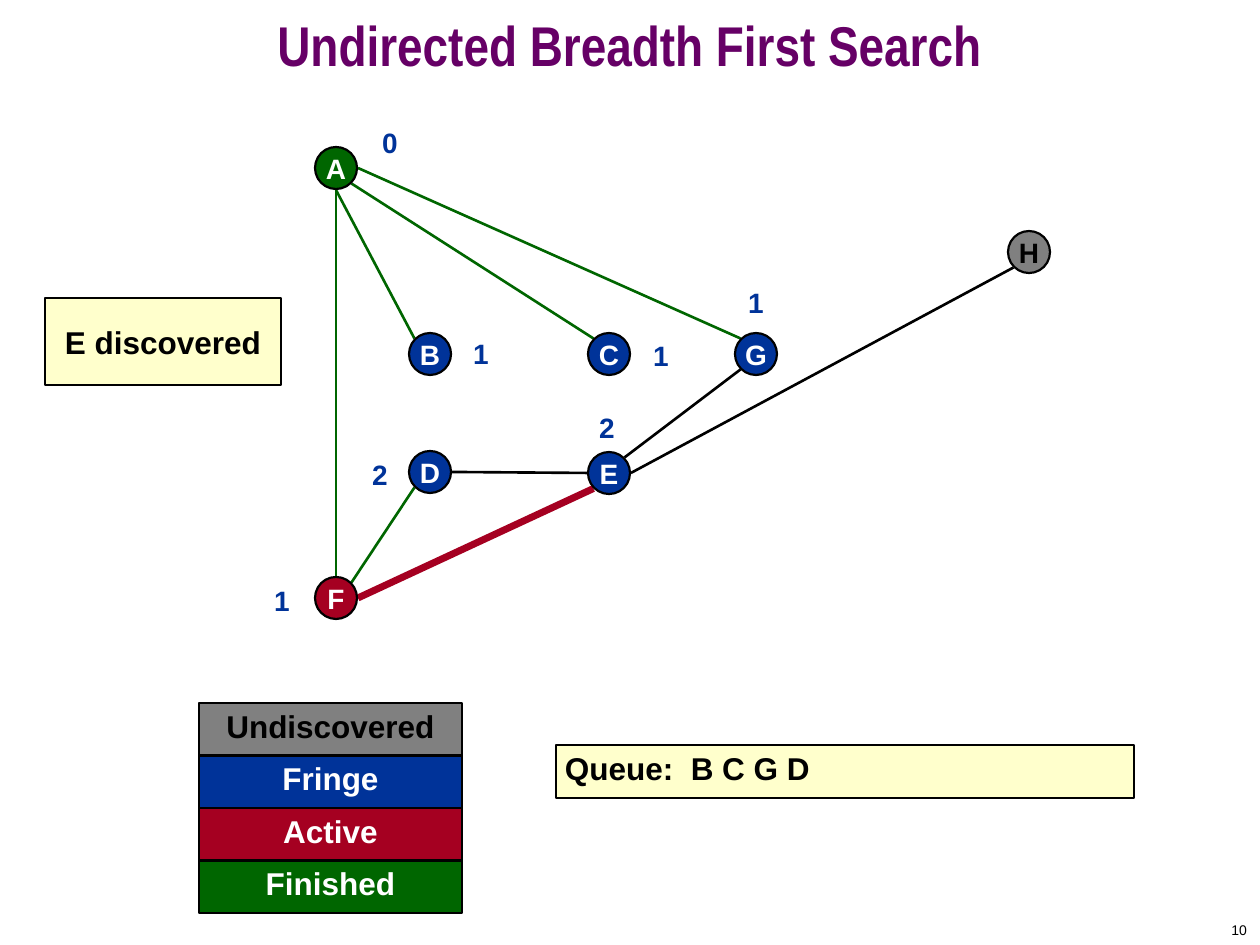
from math import cos, radians, sin

from lxml import etree
from pptx import Presentation
from pptx.dml.color import RGBColor
from pptx.enum.shapes import MSO_CONNECTOR, MSO_SHAPE
from pptx.enum.text import MSO_ANCHOR, PP_ALIGN
from pptx.oxml.ns import qn
from pptx.util import Emu, Pt

OVAL, RECTANGLE = MSO_SHAPE.OVAL, MSO_SHAPE.RECTANGLE
STRAIGHT = MSO_CONNECTOR.STRAIGHT
TOP, MIDDLE = MSO_ANCHOR.TOP, MSO_ANCHOR.MIDDLE
LEFT, CENTER, RIGHT = PP_ALIGN.LEFT, PP_ALIGN.CENTER, PP_ALIGN.RIGHT

THEME = {
    "font": "Arial", "title_font": "Arial Narrow",
    "title": "660066", "black": "000000", "white": "FFFFFF", "note": "FFFFCC",
    "undiscovered": "808080", "fringe": "003399",
    "active": "A50021", "finished": "006600",
    "title_size": 32, "box_size": 18, "node_size": 16, "number_size": 8,
    "outline": 1.25, "edge": 1.5, "active_edge": 4,
}

PIXEL = 914400 // 126
SLIDE_SIZE = (1260, 945)
NODE_SIZE = 42
NODE_REACH = 22
LABEL_SIZE = (40, 34)

# name: (centre x, centre y, state)
NODES = {
    "A": (336, 168, "finished"),
    "B": (430, 354, "fringe"),
    "C": (609, 354, "fringe"),
    "G": (756, 354, "fringe"),
    "D": (430, 472, "fringe"),
    "E": (609, 473, "fringe"),
    "F": (336, 598, "active"),
    "H": (1029, 252, "undiscovered"),
}

# (start node, start side, end node, end side, colour, width)
EDGES = [
    ("A", "S", "F", "N", "finished", "edge"),
    ("A", "S", "B", "NW", "finished", "edge"),
    ("A", "SE", "C", "NW", "finished", "edge"),
    ("A", "E", "G", "NW", "finished", "edge"),
    ("F", "NE", "D", "SW", "finished", "edge"),
    ("D", "E", "E", "W", "black", "edge"),
    ("E", "NE", "G", "SW", "black", "edge"),
    ("E", "E", "H", "SW", "black", "edge"),
    ("F", "E", "E", "SW", "active", "active_edge"),
]
SIDES = ["E", "SE", "S", "SW", "W", "NW", "N", "NE"]

# (distance, left, top)
DISTANCES = [
    ("0", 370, 126), ("1", 262, 584), ("1", 461, 337), ("1", 641, 339),
    ("1", 736, 286), ("2", 360, 458), ("2", 587, 411),
]

LEGEND = ["Undiscovered", "Fringe", "Active", "Finished"]
LEGEND_LEFT, LEGEND_TOP, LEGEND_WIDTH, LEGEND_ROW = 199, 703, 263, 52.5


def px(length):
    """Turn picture pixels into EMU."""
    return Emu(round(length * PIXEL))


def rgb(name):
    """Look up a theme colour."""
    return RGBColor.from_string(THEME[name])


def text_colour(state):
    """Return the colour that reads well on a state's fill."""
    return "black" if state == "undiscovered" else "white"


def write(shape, text, size, colour, align=CENTER, anchor=MIDDLE,
          font="font", bold=True, wrap=True, margins=(0, 0, 0, 0)):
    """Put one formatted paragraph in a shape and return the paragraph."""
    frame = shape.text_frame
    frame.text = text
    frame.word_wrap = wrap
    frame.vertical_anchor = anchor
    (frame.margin_left, frame.margin_top,
     frame.margin_right, frame.margin_bottom) = map(px, margins)
    paragraph = frame.paragraphs[0]
    paragraph.alignment = align
    for run in paragraph.runs:
        run.font.name = THEME[font]
        run.font.size = Pt(THEME[size])
        run.font.bold = bold
        run.font.color.rgb = rgb(colour)
    return paragraph


def add_text(slide, box, text, size, colour, **options):
    """Add a text box."""
    shape = slide.shapes.add_textbox(*map(px, box))
    return write(shape, text, size, colour, **options)


def add_box(slide, kind, box, fill, text, size, colour, **options):
    """Add an outlined, filled shape with text."""
    shape = slide.shapes.add_shape(kind, *map(px, box))
    shape.shadow.inherit = False
    shape.fill.solid()
    shape.fill.fore_color.rgb = rgb(fill)
    shape.line.color.rgb = rgb("black")
    shape.line.width = Pt(THEME["outline"])
    write(shape, text, size, colour, **options)


def side_point(node, side):
    """Find the point where an edge meets a side of a node."""
    x, y, _ = NODES[node]
    angle = radians(45 * SIDES.index(side))
    return px(x + NODE_REACH * cos(angle)), px(y + NODE_REACH * sin(angle))


def add_edge(slide, start, start_side, end, end_side, colour, width):
    """Join two nodes with a straight line."""
    line = slide.shapes.add_connector(
        STRAIGHT, *side_point(start, start_side), *side_point(end, end_side))
    line.line.color.rgb = rgb(colour)
    line.line.width = Pt(THEME[width])
    etree.SubElement(line._element.spPr, qn("a:effectLst"))


def add_graph(slide):
    """Draw the edges, the nodes and their distances."""
    for edge in EDGES:
        add_edge(slide, *edge)
    for name, (x, y, state) in NODES.items():
        box = (x - NODE_SIZE / 2, y - NODE_SIZE / 2, NODE_SIZE, NODE_SIZE)
        add_box(slide, OVAL, box, state, name, "node_size",
                text_colour(state), wrap=False)
    for distance, left, top in DISTANCES:
        add_text(slide, (left, top, *LABEL_SIZE), distance, "node_size",
                 "fringe", anchor=TOP)


def add_legend(slide):
    """Stack one coloured row for each state."""
    for row, label in enumerate(LEGEND):
        state = label.lower()
        box = (LEGEND_LEFT, LEGEND_TOP + row * LEGEND_ROW, LEGEND_WIDTH, LEGEND_ROW)
        add_box(slide, RECTANGLE, box, state, label, "box_size",
                text_colour(state), anchor=TOP, margins=(0, 4, 0, 0))


def main():
    """Build and save the slide."""
    presentation = Presentation()
    presentation.slide_width, presentation.slide_height = map(px, SLIDE_SIZE)
    slide = presentation.slides.add_slide(presentation.slide_layouts[6])

    title = add_text(slide, (0, 0, 1260, 105), "Undirected Breadth First Search",
                     "title_size", "title", font="title_font",
                     margins=(13, 6, 13, 6))
    title.line_spacing = 0.7
    add_graph(slide)
    add_legend(slide)
    add_box(slide, RECTANGLE, (45, 298, 236, 87), "note", "E discovered",
            "box_size", "black", wrap=False)
    add_box(slide, RECTANGLE, (556, 745, 578, 53), "note", "Queue:  B C G D",
            "box_size", "black", align=LEFT, anchor=TOP, margins=(9, 4, 0, 0))
    add_text(slide, (998, 914, 262, 31), "10", "number_size", "black",
             align=RIGHT, bold=False, margins=(13, 6, 13, 6))
    presentation.save("out.pptx")


main()
